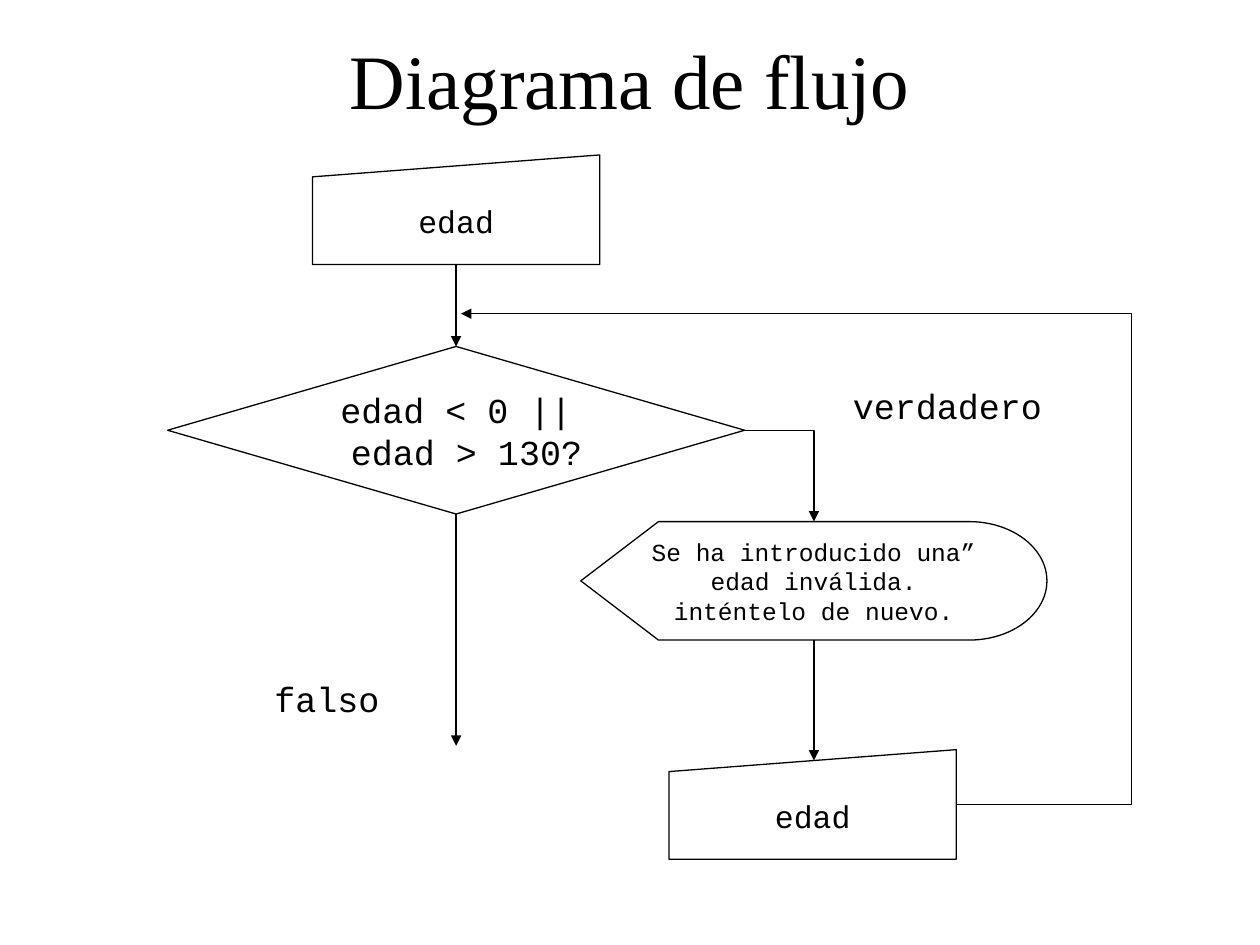
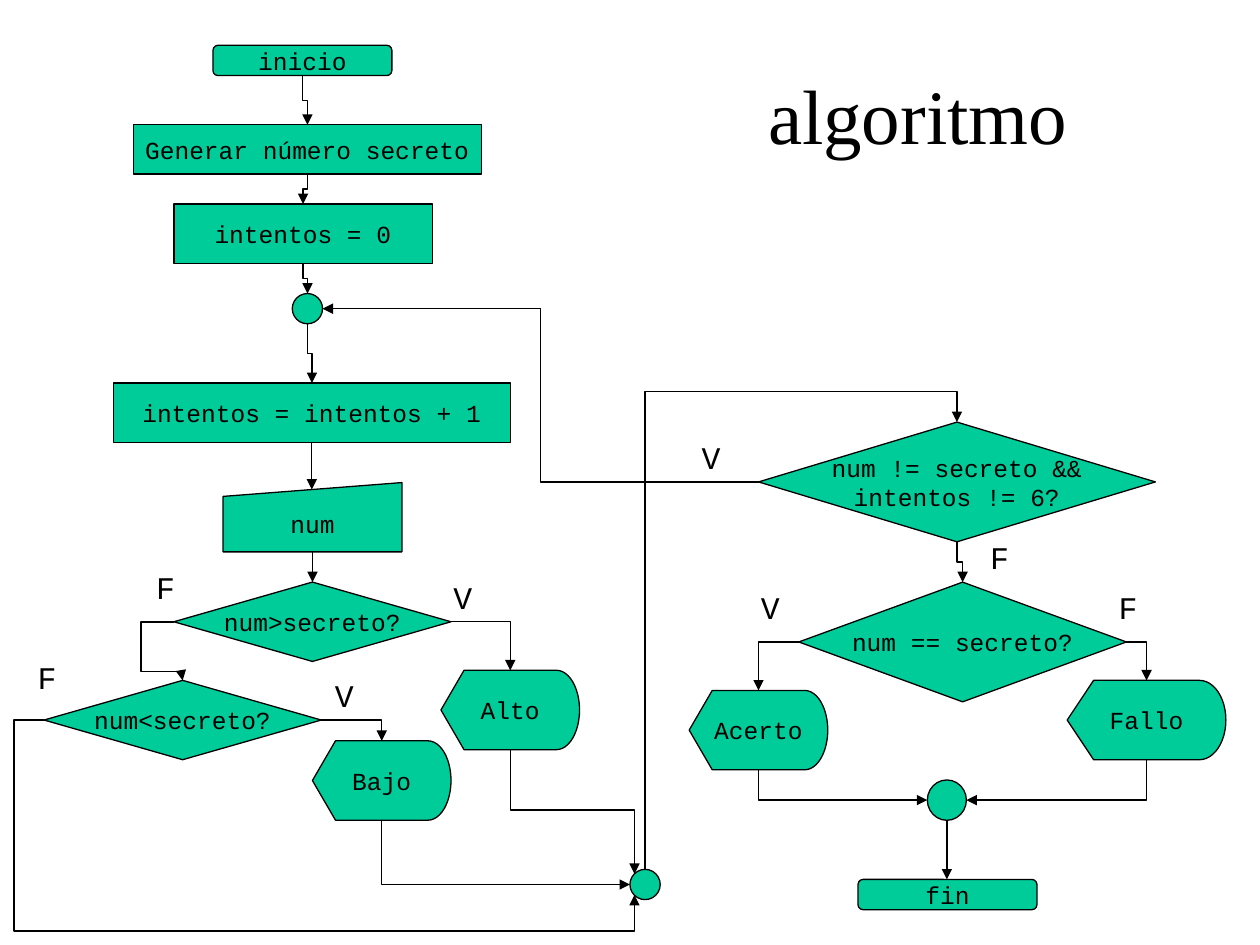
from pptx import Presentation
from pptx.dml.color import RGBColor
from pptx.enum.shapes import MSO_CONNECTOR as LINE, MSO_SHAPE as SHP
from pptx.enum.text import MSO_ANCHOR as ANC, MSO_AUTO_SIZE as FIT, PP_ALIGN as AL
from pptx.oxml import parse_xml
from pptx.oxml.ns import nsdecls, qn
from pptx.util import Inches, Pt

INK, PAPER, GREEN = "000000", "FFFFFF", "00CC99"
SERIF, MONO = "Times New Roman", "Courier New"
STEP, TEST = SHP.FLOWCHART_PROCESS, SHP.FLOWCHART_DECISION
READ, SHOW = SHP.FLOWCHART_MANUAL_INPUT, SHP.FLOWCHART_DISPLAY
ENDS, DOT = SHP.FLOWCHART_ALTERNATE_PROCESS, SHP.OVAL

# Connection sites: place on the box as fractions, then site number
SITES = {"t": (0.5, 0, 0), "l": (0, 0.5, 1), "b": (0.5, 1, 2), "r": (1, 0.5, 3)}
ROUND = {"t": (0.5, 0, 0), "tl": (0.15, 0.15, 1), "l": (0, 0.5, 2),
         "bl": (0.15, 0.85, 3), "b": (0.5, 1, 4), "r": (1, 0.5, 6)}


def color(code):
    return RGBColor.from_string(code)


def write(frame, text, size=14, font=MONO, align=AL.CENTER, anchor=ANC.MIDDLE,
          wrap=False, before=0):
    frame.text = text
    frame.word_wrap = wrap
    frame.vertical_anchor = anchor
    for par in frame.paragraphs:
        par.alignment = align
        par.space_before = Pt(before)
        for run in par.runs:
            run.font.size = Pt(size)
            run.font.name = font
            run.font.color.rgb = color(INK)


def title(slide, box, text):
    area = slide.shapes.add_textbox(*map(Inches, box))
    write(area.text_frame, text, size=44, font=SERIF, wrap=True)


def label(slide, box, text, size=18):
    area = slide.shapes.add_textbox(*map(Inches, box))
    write(area.text_frame, text, size=size, align=AL.LEFT, anchor=ANC.TOP,
          wrap=True, before=size * 0.625)
    area.text_frame.auto_size = FIT.SHAPE_TO_FIT_TEXT


def node(slide, kind, box, text="", fill=GREEN, size=14):
    shape = slide.shapes.add_shape(kind, *map(Inches, box))
    shape.shadow.inherit = False
    if fill:
        shape.fill.solid()
        shape.fill.fore_color.rgb = color(fill)
    else:
        shape.fill.background()
    shape.line.color.rgb = color(INK)
    shape.line.width = Pt(0.75)
    if text:
        write(shape.text_frame, text, size=size)
    return shape


def site(shape, side):
    """Point in inches and site number of one side of a node."""
    kind = shape.auto_shape_type
    fx, fy, num = (ROUND if kind == DOT else SITES)[side]
    if kind == READ and side == "t":
        fy = 0.1
    x = shape.left + fx * shape.width
    y = shape.top + fy * shape.height
    return (x / Inches(1), y / Inches(1)), num


def glue(joint, shape, num):
    joint.id, joint.idx = shape.shape_id, num


def bend(line, start, end, down, turn, lanes):
    """Shape an elbow line by its first direction and the lanes it runs in."""
    dx, dy = end[0] - start[0], end[1] - start[1]
    run, rise = (dy, dx) if down else (dx, dy)
    first, second = (start[1], start[0]) if down else start
    if not turn and not lanes:
        lanes = (first + run / 2,)
    ahead = lanes[0] - first if lanes else run
    # Rotation follows the first direction, flips then correct the end
    if down:
        rot = 270 if dx > 0 and ahead > 0 else 90
        flips = (dy > 0, dx < 0) if rot == 270 else (dy < 0, dx > 0)
    else:
        rot = 180 if ahead < 0 else 0
        flips = (dx > 0, dy > 0) if rot else (dx < 0, dy < 0)
    wide, high = abs(run), abs(rise)
    line.left = Inches((start[0] + end[0] - wide) / 2)
    line.top = Inches((start[1] + end[1] - high) / 2)
    line.width, line.height = Inches(wide), Inches(high)
    frame = line._element.spPr.find(qn("a:xfrm"))
    frame.set("rot", str(rot * 60000))
    for name, flip in zip(("flipH", "flipV"), flips):
        frame.set(name, str(int(flip)))
    geom = line._element.spPr.find(qn("a:prstGeom"))
    geom.set("prst", f"bentConnector{2 + len(lanes)}")
    guides = geom.find(qn("a:avLst"))
    if guides is None:
        guides = parse_xml(f'<a:avLst {nsdecls("a")}/>')
        geom.append(guides)
    for num, (lane, base, span) in enumerate(
            zip(lanes, (first, second), (run, rise)), 1):
        part = round((lane - base) / span * 100000)
        guides.append(parse_xml(
            f'<a:gd {nsdecls("a")} name="adj{num}" fmla="val {part}"/>'))


def link(slide, tail, out, head, into, *lanes):
    """Arrow from a side of one node to a side of another, or to a point."""
    start, num = site(tail, out)
    free = isinstance(head, tuple)
    end, goal = (head, None) if free else site(head, into)
    down = out in "tb"
    turn = down == (into in "lr")
    axis = 0 if down else 1
    plain = not turn and not lanes and abs(end[axis] - start[axis]) < 0.02
    if plain:
        end = (start[0], end[1]) if down else (end[0], start[1])
    line = slide.shapes.add_connector(
        LINE.STRAIGHT if plain else LINE.ELBOW, *map(Inches, start + end))
    if not plain:
        joints = line._element.nvCxnSpPr.cNvCxnSpPr
        glue(joints.get_or_add_stCxn(), tail, num)
        if not free:
            glue(joints.get_or_add_endCxn(), head, goal)
        bend(line, start, end, down, turn, lanes)
    line.line.color.rgb = color(INK)
    line.line.width = Pt(0.75)
    line.line._get_or_add_ln().append(
        parse_xml(f'<a:tailEnd {nsdecls("a")} type="triangle"/>'))
    line._element.spPr.append(parse_xml(f'<a:effectLst {nsdecls("a")}/>'))


def check(slide):
    """Flow chart that repeats the question until the age is valid."""
    title(slide, (0.75, 0, 8.5, 1.25), "Diagrama de flujo")
    ask = node(slide, READ, (2.48, 1.23, 2.28, 0.87), "edad", PAPER, 18)
    test = node(slide, TEST, (1.33, 2.75, 4.58, 1.33),
                "edad < 0 ||\n edad > 130?", None, 20)
    warn = node(slide, SHOW, (4.61, 4.14, 3.7, 0.94),
                "Se ha introducido una”\nedad inválida.\ninténtelo de nuevo.", PAPER)
    again = node(slide, READ, (5.31, 5.95, 2.28, 0.87), "edad", PAPER, 18)
    link(slide, ask, "b", test, "t")
    link(slide, test, "r", warn, "t")
    link(slide, test, "b", (3.62, 5.92), "t")
    link(slide, warn, "b", again, "t")
    link(slide, again, "r", (3.66, 2.49), "r", 8.98)
    label(slide, (6.67, 3, 2, 0.44), "verdadero", 20)
    label(slide, (2.08, 5.33, 2, 0.44), "falso", 20)


def guess(slide):
    """Left part: read a number and compare it; returns the loop's two dots."""
    begin = node(slide, ENDS, (1.69, 0.36, 1.42, 0.24), "inicio")
    pick = node(slide, STEP, (1.06, 0.99, 2.76, 0.39), "Generar número secreto")
    zero = node(slide, STEP, (1.38, 1.62, 2.05, 0.47), "intentos = 0")
    loop = node(slide, DOT, (2.32, 2.33, 0.24, 0.24))
    count = node(slide, STEP, (0.9, 3.04, 3.15, 0.47), "intentos = intentos + 1")
    ask = node(slide, READ, (1.77, 3.83, 1.42, 0.55), "num")
    more = node(slide, TEST, (1.38, 4.62, 2.2, 0.63), "num>secreto?")
    less = node(slide, TEST, (0.35, 5.4, 2.2, 0.63), "num<secreto?")
    high = node(slide, SHOW, (3.5, 5.32, 1.1, 0.63), "Alto")
    low = node(slide, SHOW, (2.48, 5.88, 1.1, 0.63), "Bajo")
    join = node(slide, DOT, (5, 6.9, 0.24, 0.24))
    # Straight run down to the first test
    chain = (begin, pick, zero, loop, count, ask, more)
    for tail, head in zip(chain, chain[1:]):
        link(slide, tail, "b", head, "t")
    # Branches of both tests
    link(slide, more, "l", less, "t", 1.12, 5.33)
    link(slide, more, "r", high, "t")
    link(slide, less, "r", low, "t")
    link(slide, less, "l", join, "bl", 0.11, 7.39)
    link(slide, low, "b", join, "l")
    link(slide, high, "b", join, "tl", 6.43)
    return loop, join


def finish(slide, loop, join):
    """Right part: decide whether to go on, then show the result."""
    go = node(slide, TEST, (6.02, 3.35, 3.15, 0.95),
              "num != secreto &&\nintentos != 6?")
    same = node(slide, TEST, (6.34, 4.62, 2.6, 0.95), "num == secreto?")
    win = node(slide, SHOW, (5.47, 5.48, 1.1, 0.63), "Acerto")
    fail = node(slide, SHOW, (8.47, 5.4, 1.26, 0.63), "Fallo")
    meet = node(slide, DOT, (7.36, 6.19, 0.31, 0.32))
    stop = node(slide, ENDS, (6.81, 6.98, 1.42, 0.24), "fin")
    link(slide, join, "t", go, "t", 3.11)
    link(slide, go, "l", loop, "r")
    link(slide, go, "b", same, "t")
    link(slide, same, "l", win, "t")
    link(slide, same, "r", fail, "t")
    link(slide, win, "b", meet, "l")
    link(slide, fail, "b", meet, "r")
    link(slide, meet, "b", stop, "t")


def game(slide):
    title(slide, (5, 0.28, 4.57, 1.25), "algoritmo")
    loop, join = guess(slide)
    finish(slide, loop, join)
    # Answers beside the tests
    marks = {"V": [(3.5, 4.54), (5.94, 4.62), (2.56, 5.32), (5.47, 3.43)],
             "F": [(8.78, 4.62), (1.14, 4.46), (0.2, 5.17), (7.76, 4.22)]}
    for text, spots in marks.items():
        for spot in spots:
            label(slide, spot + (0.71, 0.4), text)


def main():
    deck = Presentation()
    deck.slide_width, deck.slide_height = Inches(10), Inches(7.5)
    for draw in (check, game):
        draw(deck.slides.add_slide(deck.slide_layouts[6]))
    deck.save("out.pptx")


if __name__ == "__main__":
    main()
